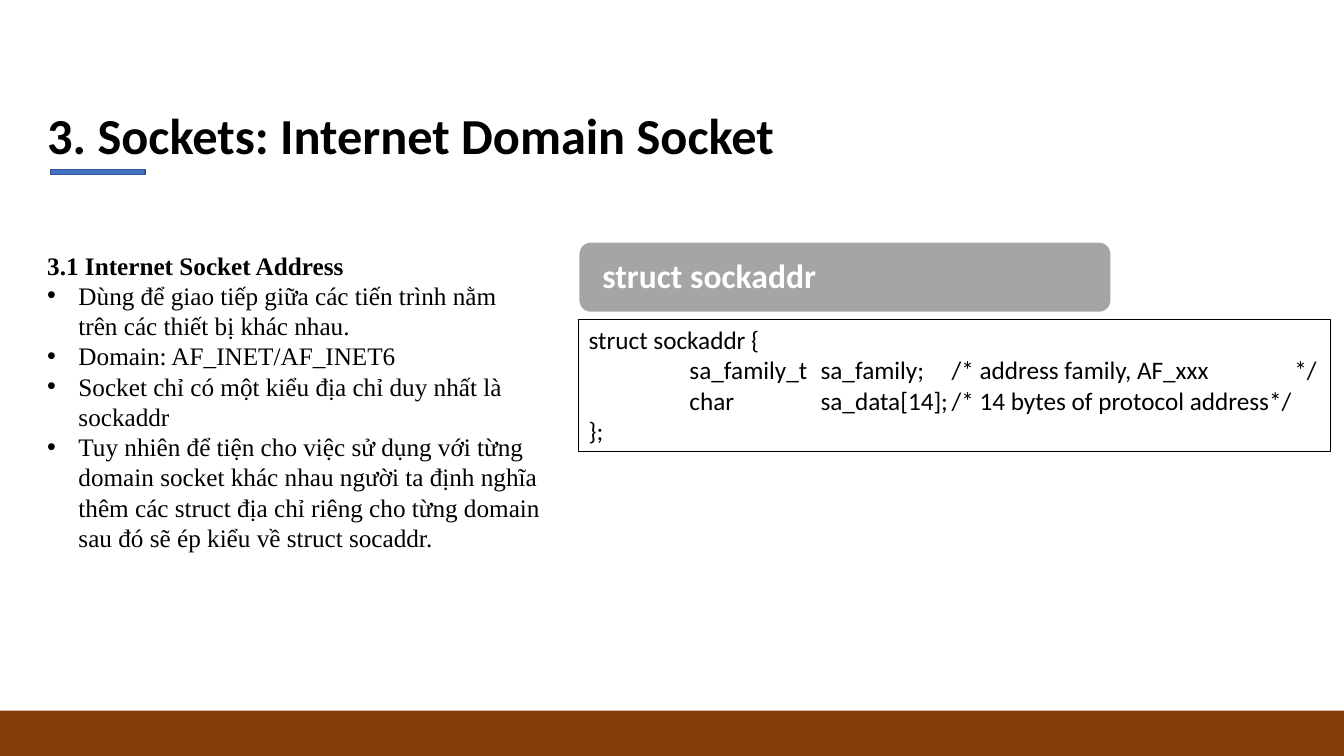
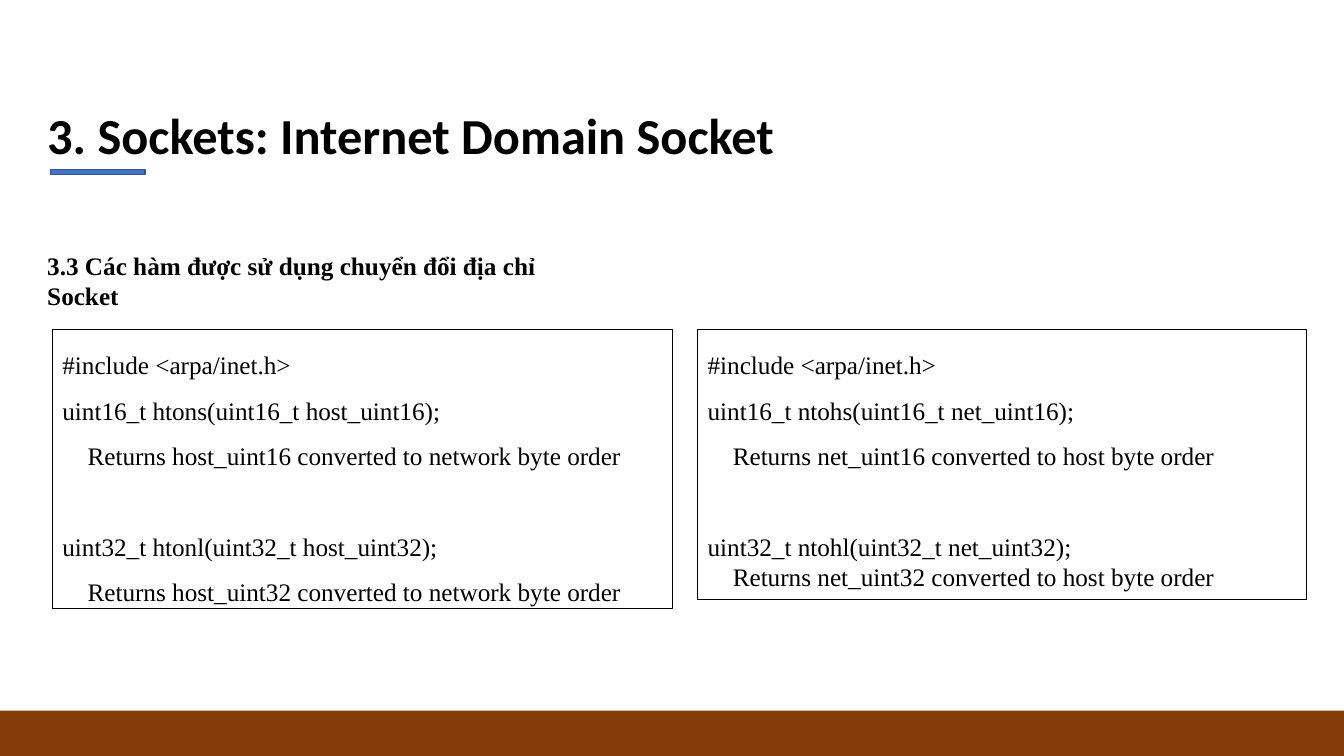
from dataclasses import dataclass

from lxml import etree
from pptx import Presentation
from pptx import util as u
from pptx.dml import color
from pptx.enum import shapes, text
from pptx.oxml import ns

COLORS = {
    "black": "000000",
    "white": "FFFFFF",
    "band": "843C0B",
    "accent": "4472C4",
    "accent_edge": "325491",
    "label": "A5A5A5",
}
SANS, SERIF = "Calibri", "Times New Roman"
WIDTH, HEIGHT = 13.33, 7.5
BAND_TOP = 7.05
TITLE = "3. Sockets: Internet Domain Socket"
BULLET_INDENT = 0.31
RETURN_INDENT = 0.25
GROUP_GAP = 32.4


@dataclass(frozen=True)
class Area:
    left: float
    top: float
    width: float
    height: float

    def lengths(self) -> tuple:
        return tuple(u.Inches(n) for n in (self.left, self.top, self.width, self.height))


@dataclass(frozen=True)
class Line:
    text: str
    bold: bool = False
    bullet: bool = False
    indent: float = 0
    spacing: float | None = None
    before: float = 0
    tabs: tuple = ()


TITLE_AREA = Area(0.37, 0.49, 7.75, 1.19)
BODY_AREA = Area(0.37, 2.43, 5.09, 3.82)
ACCENT_AREA = Area(0.5, 1.68, 0.94, 0.05)
BAND_AREA = Area(0, BAND_TOP, WIDTH, HEIGHT - BAND_TOP)


def rgb(name: str) -> color.RGBColor:
    return color.RGBColor.from_string(COLORS[name])


def format_line(para, line: Line) -> None:
    properties = para._p.get_or_add_pPr()
    if line.spacing:
        para.line_spacing = line.spacing
    if line.before:
        para.space_before = u.Pt(line.before)
    if line.indent:
        properties.set("marL", str(u.Inches(line.indent)))
    if line.bullet:
        properties.set("indent", str(-u.Inches(line.indent)))
        etree.SubElement(properties, ns.qn("a:buFont"), typeface="Arial")
        etree.SubElement(properties, ns.qn("a:buChar"), char="•")
    if line.tabs:
        stops = etree.SubElement(properties, ns.qn("a:tabLst"))
        for stop in line.tabs:
            etree.SubElement(stops, ns.qn("a:tab"), pos=str(u.Inches(stop)), algn="l")


def write(box, lines: list[Line], *, font: str = SERIF, size: float = 18,
          ink: str = "black", anchor=text.MSO_ANCHOR.TOP,
          align=text.PP_ALIGN.LEFT, inset: float = 0.1) -> None:
    frame = box.text_frame
    frame.word_wrap = True
    frame.vertical_anchor = anchor
    frame.margin_left = frame.margin_right = u.Inches(inset)
    for index, line in enumerate(lines):
        para = frame.add_paragraph() if index else frame.paragraphs[0]
        para.alignment = align
        format_line(para, line)
        span = para.add_run()
        span.text = line.text
        span.font.name = font
        span.font.size = u.Pt(size)
        span.font.bold = line.bold
        span.font.color.rgb = rgb(ink)


def add_box(page, area: Area, *, fill: str | None = None, edge: str | None = None,
            weight: float = 1, kind=shapes.MSO_SHAPE.RECTANGLE):
    box = page.shapes.add_shape(kind, *area.lengths())
    box.shadow.inherit = False
    if fill:
        box.fill.solid()
        box.fill.fore_color.rgb = rgb(fill)
    else:
        box.fill.background()
    if edge:
        box.line.color.rgb = rgb(edge)
        box.line.width = u.Pt(weight)
    else:
        box.line.fill.background()
    return box


def add_page(deck, body: list[Line]):
    page = deck.slides.add_slide(deck.slide_layouts[6])
    title = page.shapes.add_textbox(*TITLE_AREA.lengths())
    write(title, [Line(TITLE, bold=True)], font=SANS, size=36,
          anchor=text.MSO_ANCHOR.BOTTOM)
    add_box(page, BAND_AREA, fill="band")
    write(page.shapes.add_textbox(*BODY_AREA.lengths()), body)
    add_box(page, ACCENT_AREA, fill="accent", edge="accent_edge")
    return page


def add_code(page, area: Area, lines: list[Line], **style) -> None:
    write(add_box(page, area, edge="black", weight=0.75), lines, **style)


def conversion_lines(prefix: str, suffix: str, source: str, target: str,
                     last_spacing: float) -> list[Line]:
    lines = [Line("#include <arpa/inet.h>", spacing=1.5)]
    for bits, letter, before, spacing in ((16, "s", 0, 1.5), (32, "l", GROUP_GAP, last_spacing)):
        value = f"{source}_uint{bits}"
        call = f"uint{bits}_t {prefix}to{suffix}{letter}(uint{bits}_t {value});"
        lines += [
            Line(call, spacing=1.5, before=before),
            Line(f"Returns {value} converted to {target} byte order",
                 indent=RETURN_INDENT, spacing=spacing),
        ]
    return lines


def build_address_page(deck) -> None:
    points = [
        "Dùng để giao tiếp giữa các tiến trình nằm trên các thiết bị khác nhau.",
        "Domain: AF_INET/AF_INET6",
        "Socket chỉ có một kiểu địa chỉ duy nhất là sockaddr",
        "Tuy nhiên để tiện cho việc sử dụng với từng domain socket khác nhau "
        "người ta định nghĩa thêm các struct địa chỉ riêng cho từng domain "
        "sau đó sẽ ép kiểu về struct socaddr.",
    ]
    body = [Line("3.1 Internet Socket Address", bold=True)]
    body += [Line(point, bullet=True, indent=BULLET_INDENT) for point in points]
    page = add_page(deck, body)
    label = add_box(page, Area(5.74, 2.4, 5.28, 0.7), fill="label", edge="white",
                    kind=shapes.MSO_SHAPE.ROUNDED_RECTANGLE)
    write(label, [Line("struct sockaddr", bold=True, spacing=0.9)], font=SANS,
          size=24, ink="white", anchor=text.MSO_ANCHOR.MIDDLE, inset=0.2)
    code = [
        "struct sockaddr {",
        "\tsa_family_t\tsa_family;\t/* address family, AF_xxx\t*/",
        "\tchar\tsa_data[14];\t/* 14 bytes of protocol address*/",
        "};",
    ]
    add_code(page, Area(5.74, 3.17, 7.46, 1.31),
             [Line(row, tabs=(1, 2.3, 3.6, 7)) for row in code], font=SANS)


def build_conversion_page(deck) -> None:
    page = add_page(deck, [
        Line("3.3 Các hàm được sử dụng chuyển đổi địa chỉ Socket", bold=True),
    ])
    panels = [
        (Area(0.52, 3.27, 6.15, 2.77), conversion_lines("h", "n", "host", "network", 1.5)),
        (Area(6.92, 3.27, 6.04, 2.68), conversion_lines("n", "h", "net", "host", 1)),
    ]
    for area, lines in panels:
        add_code(page, area, lines, align=text.PP_ALIGN.JUSTIFY)


def main() -> None:
    deck = Presentation()
    deck.slide_width = u.Inches(WIDTH)
    deck.slide_height = u.Inches(HEIGHT)
    build_address_page(deck)
    build_conversion_page(deck)
    deck.save("out.pptx")


if __name__ == "__main__":
    main()
